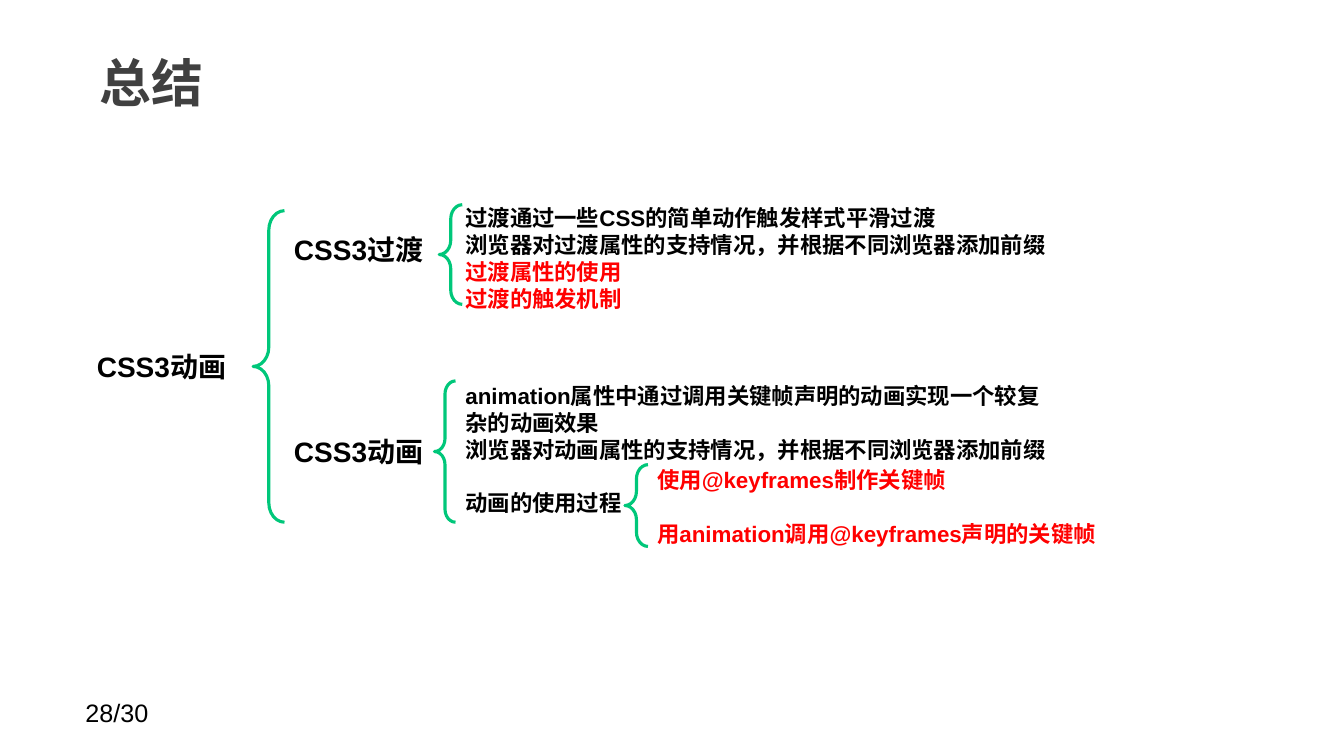
from pptx import Presentation
from pptx.dml.color import RGBColor
from pptx.enum import shapes, text
from pptx.oxml.ns import qn
from pptx.util import Cm, Pt

COLORS = {"title": "404040", "ink": "000000", "key": "FF0000", "brace": "00C77A"}
LATIN, CHINESE = "Arial", "Noto Sans CJK SC"
BLANK_LINE = 19.3  # points of space that set a paragraph apart

TITLE = "总结"
PAGE_NUMBER = "28/30"

# Topics: text, left, top, width, alignment (cm)
TOPICS = [
    ("CSS3动画", 1.52, 8.69, 5.1, text.PP_ALIGN.CENTER),
    ("CSS3过渡", 7.16, 5.74, 4, text.PP_ALIGN.LEFT),
    ("CSS3动画", 7.16, 10.83, 4, text.PP_ALIGN.LEFT),
]
TOPIC_HEIGHT = 1.12

# Details: (left, top, width, height), then lines of text, colour, space before
DETAILS = [
    ((11.48, 5.03, 15.8, 3), [
        ("过渡通过一些CSS的简单动作触发样式平滑过渡", "ink", 0),
        ("浏览器对过渡属性的支持情况，并根据不同浏览器添加前缀", "ink", 0),
        ("过渡属性的使用", "key", 0),
        ("过渡的触发机制", "key", 0),
    ]),
    ((11.48, 9.5, 15.29, 3.68), [
        ("animation属性中通过调用关键帧声明的动画实现一个较复杂的动画效果", "ink", 0),
        ("浏览器对动画属性的支持情况，并根据不同浏览器添加前缀", "ink", 0),
        ("动画的使用过程", "ink", BLANK_LINE),
    ]),
    ((16.31, 11.63, 12.34, 2.31), [
        ("使用@keyframes制作关键帧", "key", 0),
        ("用animation调用@keyframes声明的关键帧", "key", BLANK_LINE),
    ]),
]

# Braces: left, top, width, height (cm)
BRACES = [
    (6.38, 5.31, 0.79, 7.85),
    (11.07, 5.16, 0.58, 2.51),
    (10.95, 9.6, 0.53, 3.56),
    (15.75, 11.71, 0.58, 2.06),
]


def style(para, size, color, bold=True, latin=LATIN):
    for span in para.runs:
        font = span.font
        font.size, font.bold, font.name = Pt(size), bold, latin
        font.color.rgb = RGBColor.from_string(COLORS[color])
        east_asian = span._r.get_or_add_rPr().makeelement(
            qn("a:ea"), {"typeface": CHINESE})
        span._r.rPr.find(qn("a:latin")).addnext(east_asian)


def add_text(page, place, lines, size, bold=True, align=text.PP_ALIGN.LEFT):
    frame = page.shapes.add_textbox(*map(Cm, place)).text_frame
    frame.word_wrap = True
    frame.text = "\n".join(line for line, _, _ in lines)
    for para, (_, color, space) in zip(frame.paragraphs, lines):
        para.alignment = align
        para.space_before = Pt(space)
        style(para, size, color, bold)


def add_brace(page, place):
    brace = page.shapes.add_shape(shapes.MSO_SHAPE.LEFT_BRACE, *map(Cm, place))
    brace.adjustments[0] = 0.62
    brace.shadow.inherit = False
    brace.fill.background()
    brace.line.color.rgb = RGBColor.from_string(COLORS["brace"])
    brace.line.width = Pt(2.25)


def main():
    deck = Presentation()
    deck.slide_width, deck.slide_height = Cm(33.87), Cm(19.05)
    page = deck.slides.add_slide(deck.slide_layouts[5])

    # Title
    title = page.shapes.title
    title.left, title.top, title.width, title.height = map(
        Cm, (2.18, 0.76, 26.44, 2.62))
    frame = title.text_frame
    frame.text = TITLE
    frame.vertical_anchor = text.MSO_ANCHOR.MIDDLE
    frame.margin_left = frame.margin_right = Cm(0.33)
    frame.margin_top = frame.margin_bottom = Cm(0.15)
    frame.paragraphs[0].alignment = text.PP_ALIGN.LEFT
    style(frame.paragraphs[0], 37, "title", latin=CHINESE)

    # Tree: topics, braces and details
    for label, left, top, width, align in TOPICS:
        add_text(page, (left, top, width, TOPIC_HEIGHT),
                 [(label, "ink", 0)], 20, align=align)
    for place in BRACES:
        add_brace(page, place)
    for place, lines in DETAILS:
        add_text(page, place, lines, 16)

    # Page number
    add_text(page, (1.9, 17.45, 5.92, 1.02),
             [(PAGE_NUMBER, "ink", 0)], 18, bold=False)

    deck.save("out.pptx")


if __name__ == "__main__":
    main()
